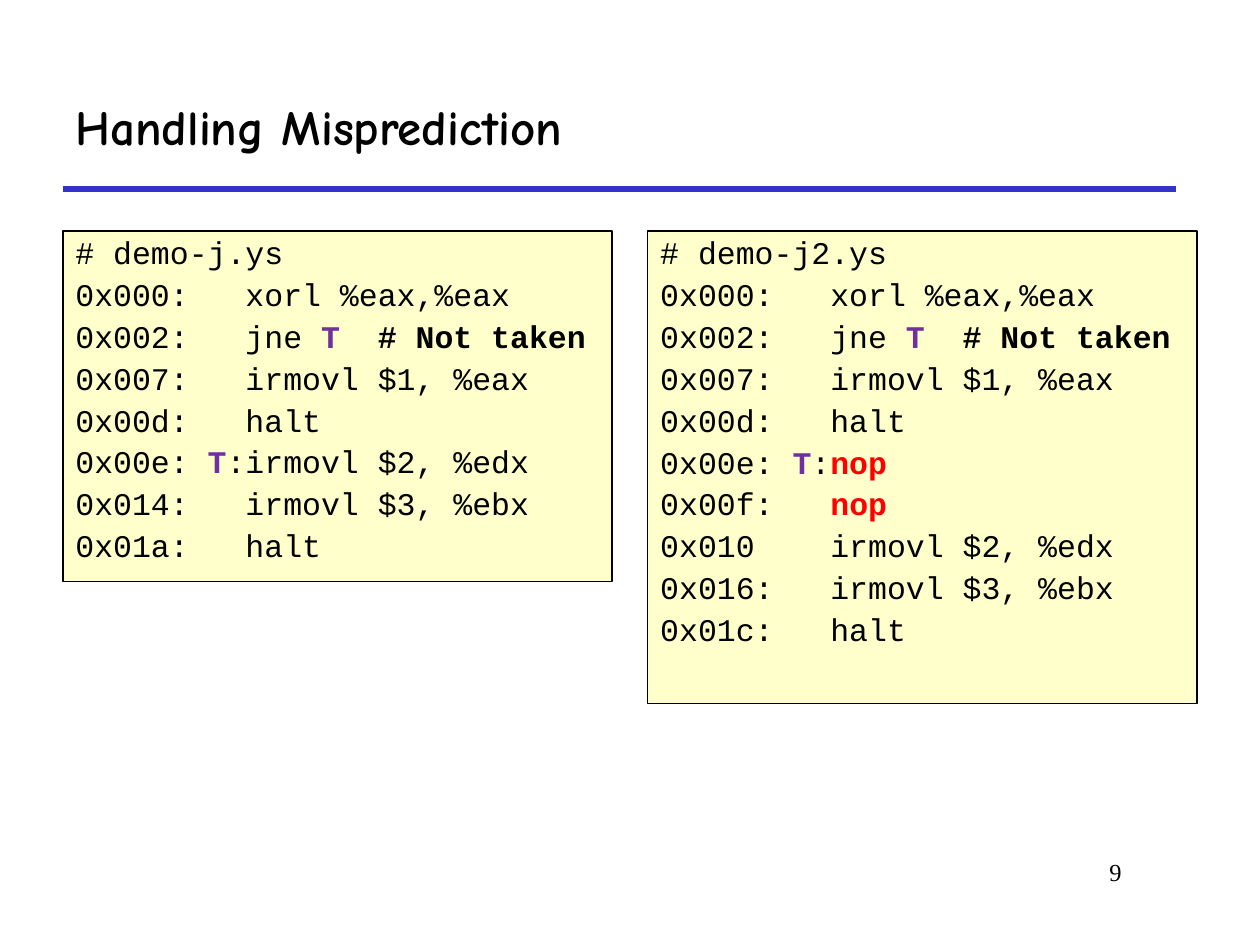
from dataclasses import dataclass
from typing import Any, NamedTuple

from lxml.etree import SubElement
from pptx import Presentation
from pptx.dml.color import RGBColor
from pptx.enum.shapes import MSO_CONNECTOR as Connector, MSO_SHAPE as Preset
from pptx.enum.text import MSO_ANCHOR as Anchor, MSO_AUTO_SIZE as AutoSize, PP_ALIGN as Align
from pptx.oxml.ns import qn
from pptx.util import Inches, Pt

WIDTH, HEIGHT = Inches(10), Inches(7.5)
COLUMNS, ROWS = 60, 45
TITLE_ONLY = 5
COLORS = {"text": "000000", "rule": "3333CC", "panel": "FFFFCC", "label": "7030A0", "added": "FF0000"}


class Area(NamedTuple):
    """Left, top, width and height in grid columns and rows."""
    left: float
    top: float
    width: float
    height: float


class Piece(NamedTuple):
    text: str
    color: str = "text"
    bold: bool = False


@dataclass(frozen=True)
class Listing:
    area: Area
    lines: list[list[Piece]]


def column(count: float) -> int:
    return int(WIDTH * count / COLUMNS)


def row(count: float) -> int:
    return int(HEIGHT * count / ROWS)


def emu(area: Area) -> tuple[int, int, int, int]:
    return column(area.left), row(area.top), column(area.width), row(area.height)


def rgb(name: str) -> RGBColor:
    return RGBColor.from_string(COLORS[name])


def apply(target: Any, values: dict[str, Any]) -> None:
    for name, value in values.items():
        setattr(target, name, value)


def add_run(paragraph: Any, piece: Piece, font_name: str, size: float) -> None:
    run = paragraph.add_run()
    run.text = piece.text
    apply(run.font, {"name": font_name, "size": Pt(size), "bold": piece.bold})
    run.font.color.rgb = rgb(piece.color)


def format_title(slide: Any, text: str, area: Area) -> None:
    title = slide.shapes.title
    apply(title, dict(zip(("left", "top", "width", "height"), emu(area))))
    apply(title.text_frame, {"vertical_anchor": Anchor.MIDDLE, "auto_size": AutoSize.NONE, "word_wrap": True})
    paragraph = title.text_frame.paragraphs[0]
    paragraph.alignment = Align.LEFT
    add_run(paragraph, Piece(text, bold=True), "Comic Neue", 28)


def add_rule(slide: Any, left: float, right: float, top: float) -> None:
    rule = slide.shapes.add_connector(Connector.STRAIGHT, column(left), row(top), column(right), row(top))
    rule.line.color.rgb = rgb("rule")
    rule.line.width = Pt(3)
    SubElement(rule._element.spPr, qn("a:effectLst"))


def add_page_number(slide: Any, text: str, area: Area) -> None:
    frame = slide.shapes.add_textbox(*emu(area)).text_frame
    frame.word_wrap = True
    paragraph = frame.paragraphs[0]
    paragraph.alignment = Align.RIGHT
    add_run(paragraph, Piece(text), "Times New Roman", 14)


def add_listing(slide: Any, listing: Listing) -> None:
    panel = slide.shapes.add_shape(Preset.RECTANGLE, *emu(listing.area))
    panel.shadow.inherit = False
    panel.fill.solid()
    panel.fill.fore_color.rgb = rgb("panel")
    panel.line.color.rgb = rgb("text")
    panel.line.width = Pt(0.75)
    frame = panel.text_frame
    apply(frame, {"vertical_anchor": Anchor.TOP, "word_wrap": True})
    for index, pieces in enumerate(listing.lines):
        paragraph = frame.add_paragraph() if index else frame.paragraphs[0]
        apply(paragraph, {"alignment": Align.LEFT, "line_spacing": 0.9, "space_before": Pt(4.5 if index else 0)})
        # Hanging indent for wrapped code
        properties = paragraph._p.get_or_add_pPr()
        properties.set("marL", str(Inches(0.38)))
        properties.set("indent", str(-Inches(0.38)))
        for piece in pieces:
            add_run(paragraph, piece, "Courier New", 18)


LABEL = Piece("T", "label", True)
NOP = Piece("nop", "added", True)
SHARED_START = [
    [Piece("0x000:   xorl %eax,%eax")],
    [Piece("0x002:   jne "), Piece("T  ", "label", True), Piece("# Not taken", bold=True)],
    [Piece("0x007:   irmovl $1, %eax")],
    [Piece("0x00d:   halt")],
]
LISTINGS = [
    Listing(Area(30.85, 11, 26.15, 22.5), [
        [Piece("# demo-j2.ys")],
        *SHARED_START,
        [Piece("0x00e: "), LABEL, Piece(":"), NOP],
        [Piece("0x00f:   "), NOP],
        [Piece("0x010    irmovl $2, %edx")],
        [Piece("0x016:   irmovl $3, %ebx")],
        [Piece("0x01c:   halt")],
    ]),
    Listing(Area(3, 11, 26.15, 16.7), [
        [Piece("# demo-j.ys")],
        *SHARED_START,
        [Piece("0x00e: "), LABEL, Piece(":irmovl $2, %edx")],
        [Piece("0x014:   irmovl $3, %ebx")],
        [Piece("0x01a:   halt")],
    ]),
]


def main() -> None:
    presentation = Presentation()
    apply(presentation, {"slide_width": WIDTH, "slide_height": HEIGHT})
    slide = presentation.slides.add_slide(presentation.slide_layouts[TITLE_ONLY])
    add_rule(slide, 3, 56, 9)
    add_page_number(slide, "9", Area(45.5, 40.5, 8.5, 3))
    format_title(slide, "Handling Misprediction", Area(3, 3, 53, 6))
    for listing in LISTINGS:
        add_listing(slide, listing)
    presentation.save("out.pptx")


if __name__ == "__main__":
    main()
